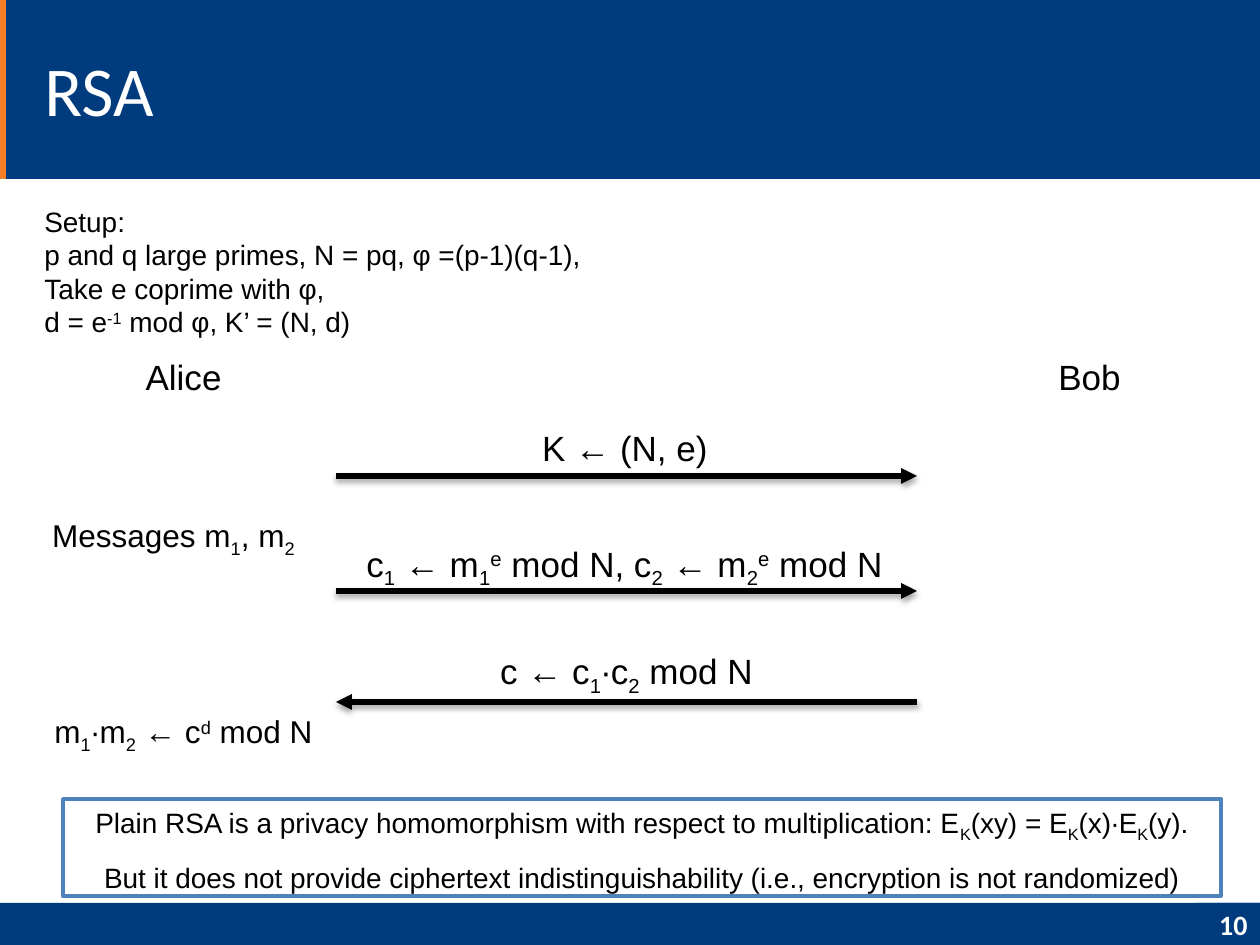
import pptx
import pptx.dml.color
import pptx.enum.shapes
import pptx.enum.text
import pptx.oxml
import pptx.oxml.ns
import pptx.util

EMU_PER_PX = 914400 / 126
COLORS = {"navy": "003C7D", "orange": "F47F24", "frame": "4F81BD",
          "white": "FFFFFF", "black": "000000"}
ALIGN = pptx.enum.text.PP_ALIGN
ANCHOR = pptx.enum.text.MSO_ANCHOR
BASELINES = {"_": "-25000", "^": "30000"}
SHADOW = (
    f'<a:effectLst {pptx.oxml.ns.nsdecls("a")}>'
    '<a:outerShdw blurRad="40000" dist="23000" dir="5400000" rotWithShape="0">'
    '<a:srgbClr val="000000"><a:alpha val="35000"/></a:srgbClr>'
    '</a:outerShdw></a:effectLst>')
ARROWHEAD = f'<a:tailEnd {pptx.oxml.ns.nsdecls("a")} type="triangle"/>'


def px(*lengths):
    return [pptx.util.Emu(round(length * EMU_PER_PX)) for length in lengths]


def rgb(name):
    return pptx.dml.color.RGBColor.from_string(COLORS[name])


class ProtocolSlide:
    def __init__(self, slide):
        self.slide = slide
        self.body_font = "Arial"
        self.heading_font = "Calibri"

    def fill_text(self, shape, lines, size, align=ALIGN.CENTER, anchor=ANCHOR.TOP,
                  color="black", font=None, bold=False):
        """Fill a shape with lines; "|" parts runs, "_" and "^" open a sub- or superscript."""
        frame = shape.text_frame
        frame.word_wrap = True
        frame.vertical_anchor = anchor
        for index, line in enumerate(lines):
            paragraph = frame.add_paragraph() if index else frame.paragraphs[0]
            paragraph.alignment = align
            paragraph.font.size = pptx.util.Pt(size)
            paragraph.font.name = font or self.body_font
            paragraph.font.bold = bold
            paragraph.font.color.rgb = rgb(color)
            for part in line.split("|"):
                run = paragraph.add_run()
                baseline = BASELINES.get(part[0])
                run.text = part[1:] if baseline else part
                if baseline:
                    run.font._element.set("baseline", baseline)

    def rect(self, box, fill, outline=None):
        shape = self.slide.shapes.add_shape(
            pptx.enum.shapes.MSO_SHAPE.RECTANGLE, *px(*box))
        shape.shadow.inherit = False
        shape.fill.solid()
        shape.fill.fore_color.rgb = rgb(fill)
        if outline:
            shape.line.color.rgb = rgb(outline)
            shape.line.width = pptx.util.Pt(2)
        else:
            shape.line.fill.background()
        return shape

    def text(self, box, lines, size, **style):
        self.fill_text(self.slide.shapes.add_textbox(*px(*box)), lines, size, **style)

    def arrow(self, start, end, y):
        line = self.slide.shapes.add_connector(
            pptx.enum.shapes.MSO_CONNECTOR.STRAIGHT, *px(start, y, end, y))
        line.line.color.rgb = rgb("black")
        line.line.width = pptx.util.Pt(3)
        line.line._get_or_add_ln().append(pptx.oxml.parse_xml(ARROWHEAD))
        line._element.spPr.append(pptx.oxml.parse_xml(SHADOW))


def main():
    presentation = pptx.Presentation()
    presentation.slide_width, presentation.slide_height = px(1260, 945)
    page = ProtocolSlide(presentation.slides.add_slide(presentation.slide_layouts[6]))

    page.rect((0, 903, 1260, 42), "navy")
    page.rect((0, 0, 1260, 179), "navy")
    page.rect((0, 0, 6, 179), "orange")
    page.text((32, 21, 924, 136), ["RSA"], 40, align=ALIGN.LEFT,
              anchor=ANCHOR.MIDDLE, color="white", font=page.heading_font)
    page_number = page.rect((1197, 903, 63, 42), "navy")
    page.fill_text(page_number, ["10"], 16, align=ALIGN.RIGHT, anchor=ANCHOR.MIDDLE,
                   color="white", font=page.heading_font, bold=True)

    page.text((32, 198, 567, 149), [
        "Setup:",
        "p and q large primes, N = pq, φ =(p-1)(q-1),",
        "Take e coprime with φ,",
        "d = e|^-1| mod φ, K’ = (N, d)",
    ], 16, align=ALIGN.LEFT)

    for party, left in (("Alice", 73), ("Bob", 979)):
        page.text((left, 349, 221, 55), [party], 20)

    alice_side, bob_side = 336, 917
    exchanges = [
        (alice_side, bob_side, 476, (436, 420, 378, 55), "K ← (N, e)"),
        (alice_side, bob_side, 591, (309, 536, 631, 97),
         "c|_1| ← m|_1|^e| mod N, c|_2| ← m|_2|^e| mod N"),
        (bob_side, alice_side, 702, (427, 643, 399, 55), "c ← c|_1|∙c|_2| mod N"),
    ]
    for sender, receiver, y, box, message in exchanges:
        page.arrow(sender, receiver, y)
        page.text(box, [message], 20)

    page.text((21, 510, 305, 50), ["Messages m|_1|, m|_2"], 18)
    page.text((-32, 706, 431, 50), ["m|_1|∙m|_2| ← c|^d| mod N"], 18)

    conclusion = page.rect((63, 799, 1158, 97), "white", outline="frame")
    page.fill_text(conclusion, [
        "Plain RSA is a privacy homomorphism with respect to multiplication: "
        "E|_K|(xy) = E|_K|(x)∙E|_K|(y).",
        "But it does not provide ciphertext indistinguishability "
        "(i.e., encryption is not randomized)",
    ], 16)
    conclusion.text_frame.paragraphs[1].line_spacing = 1.5

    presentation.save("out.pptx")


if __name__ == "__main__":
    main()
